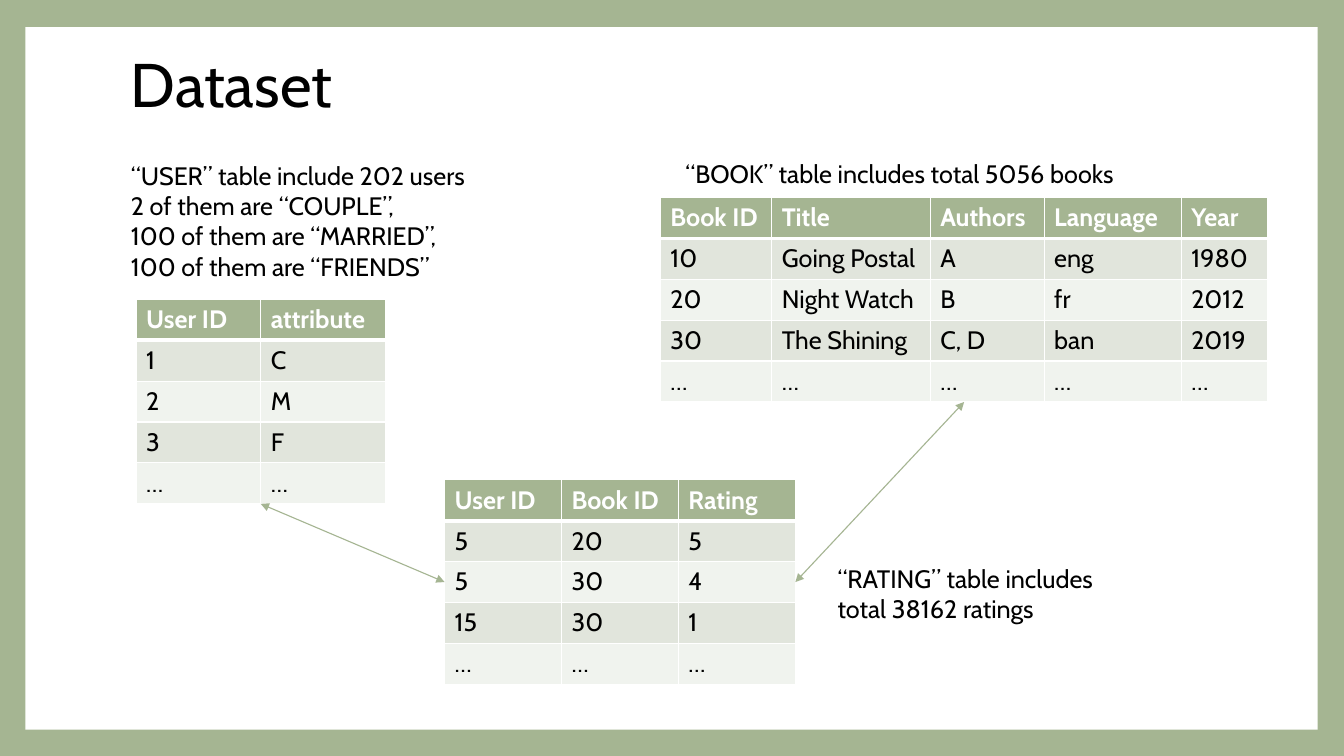
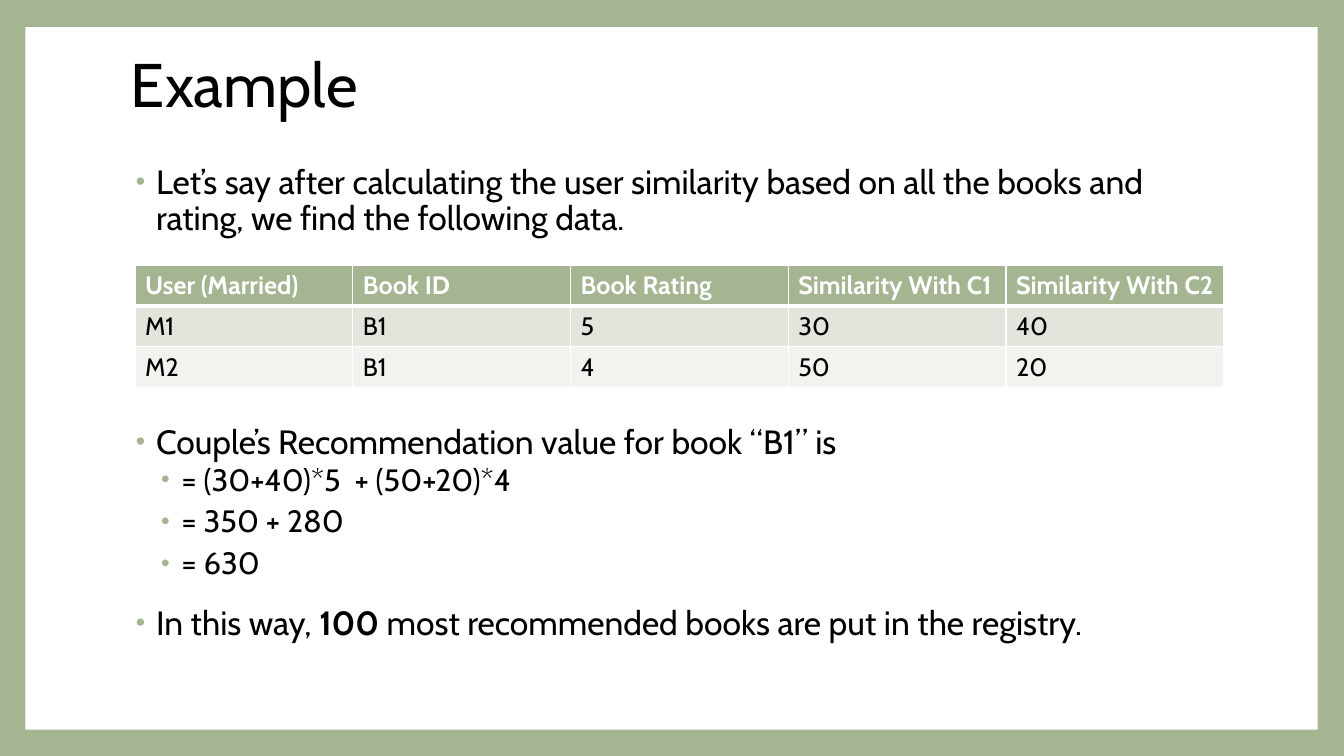
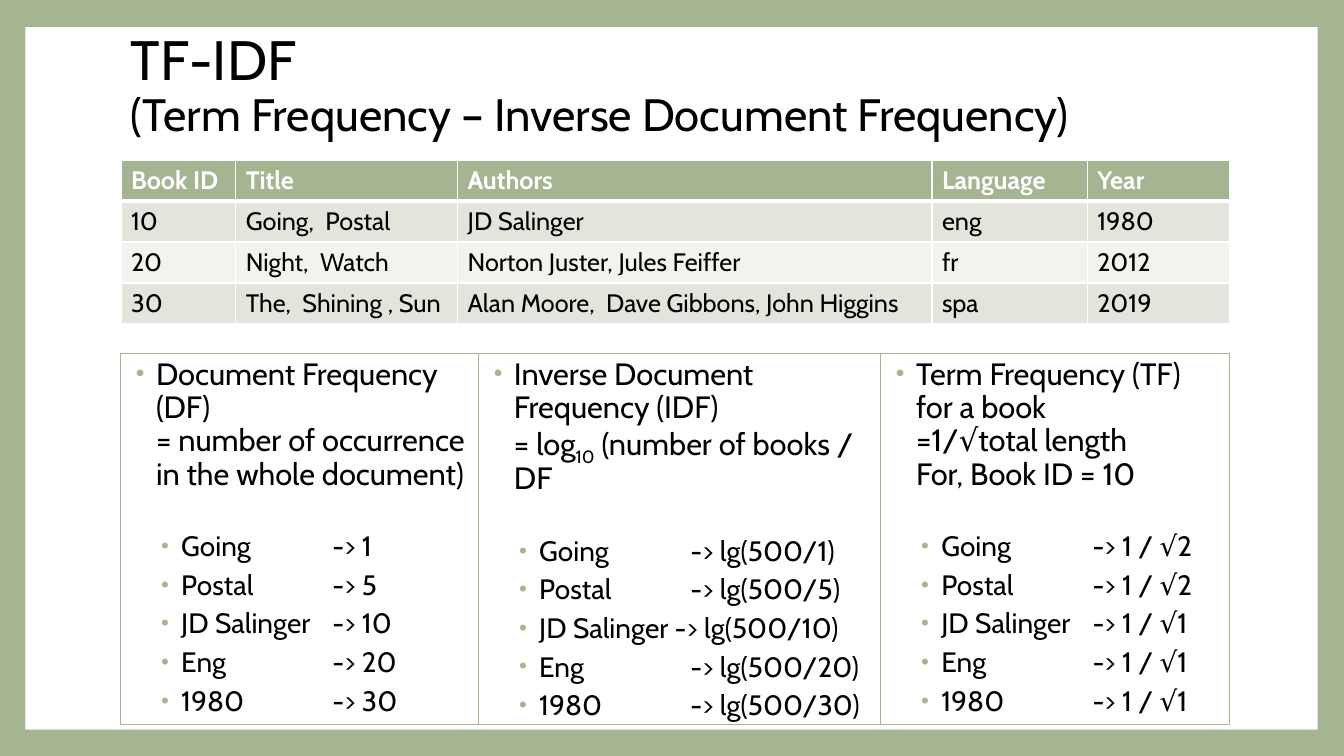
"""Build three slides on a book recommendation dataset, its scoring and TF-IDF."""
from itertools import accumulate

from lxml import etree
from pptx import Presentation
from pptx.dml.color import RGBColor
from pptx.enum.shapes import MSO_CONNECTOR, MSO_SHAPE
from pptx.enum.text import MSO_ANCHOR, PP_ALIGN
from pptx.oxml.ns import qn
from pptx.util import Inches, Pt

STRAIGHT = MSO_CONNECTOR.STRAIGHT
RECTANGLE = MSO_SHAPE.RECTANGLE
TOP, MIDDLE = MSO_ANCHOR.TOP, MSO_ANCHOR.MIDDLE
LEFT = PP_ALIGN.LEFT

GREEN = RGBColor(0xA5, 0xB5, 0x92)
BAND_DARK = RGBColor(0xE1, 0xE5, 0xDC)
BAND_LIGHT = RGBColor(0xF0, 0xF3, 0xEE)
WHITE = RGBColor(0xFF, 0xFF, 0xFF)
BLACK = RGBColor(0, 0, 0)
FONT = "Cabin"

SLIDE_W, SLIDE_H = Inches(13.33), Inches(7.5)
COLUMN, ROW = SLIDE_W / 100, SLIDE_H / 100
MARGIN, CONTENT_W = 9, 82.5
TABLE_ROW = 5.41
BLANK_LAYOUT = 6


def grid(left, top, width, height):
    """Turn hundredths of the slide into a position and size."""
    return (round(left * COLUMN), round(top * ROW),
            round(width * COLUMN), round(height * ROW))


def child(parent, tag, **attributes):
    """Append an XML element to its parent."""
    return etree.SubElement(parent, qn(tag), attributes)


def write(paragraph, text, size, color=BLACK, bold=False, baseline=None):
    """Add text in one style, with a line break at each newline."""
    for number, line in enumerate(text.split("\n")):
        if number:
            paragraph.add_line_break()
        if not line:
            continue
        run = paragraph.add_run()
        run.text = line
        font = run.font
        font.name, font.size, font.bold = FONT, Pt(size), bold
        font.color.rgb = color
        if baseline:
            run._r.get_or_add_rPr().set("baseline", str(baseline))


def next_paragraph(frame):
    """Return the first paragraph while it is empty, else a new one."""
    first = frame.paragraphs[0]
    return frame.add_paragraph() if first.runs else first


def add_bullet(frame, runs, size, level=0, before=14, after=0):
    """Add a bulleted paragraph made of (text, style) runs."""
    paragraph = next_paragraph(frame)
    paragraph.alignment, paragraph.level = LEFT, level
    paragraph.line_spacing = 0.9
    paragraph.space_before, paragraph.space_after = Pt(before), Pt(after)
    properties = paragraph._p.get_or_add_pPr()
    properties.set("marL", str(Inches(0.25 * (level + 1))))
    properties.set("indent", str(Inches(-0.2)))
    properties.set("defTabSz", str(Inches(1)))
    child(child(properties, "a:buClr"), "a:srgbClr", val=str(GREEN))
    child(properties, "a:buSzPct", val="80000")
    child(properties, "a:buFont", typeface="Arial")
    child(properties, "a:buChar", char="•")
    for text, style in runs:
        write(paragraph, text, size, **style)


def add_sub_bullets(frame, lines, size):
    """Add second-level bullets."""
    for line in lines:
        add_bullet(frame, [(line, {})], size, level=1, before=2, after=4)


def add_box(slide, place):
    """Add an empty wrapping text box and return its frame."""
    frame = slide.shapes.add_textbox(*grid(*place)).text_frame
    frame.word_wrap = True
    return frame


def add_note(slide, place, lines):
    """Add plain lines of explanation."""
    frame = add_box(slide, place)
    for line in lines:
        write(next_paragraph(frame), line, 18)


def add_rectangle(slide, place):
    """Add a rectangle without shadow, fill or line."""
    rectangle = slide.shapes.add_shape(RECTANGLE, *grid(*place))
    rectangle.shadow.inherit = False
    rectangle.fill.background()
    rectangle.line.fill.background()
    return rectangle


def add_slide(deck, *title_runs):
    """Add a slide with the green border, white panel and title."""
    slide = deck.slides.add_slide(deck.slide_layouts[BLANK_LAYOUT])
    slide.background.fill.solid()
    slide.background.fill.fore_color.rgb = GREEN
    panel = add_rectangle(slide, (1.88, 3.6, 96.15, 92.93))
    panel.fill.solid()
    panel.fill.fore_color.rgb = WHITE
    title = add_box(slide, (MARGIN, 4.13, CONTENT_W, 14.8))
    title.vertical_anchor = MIDDLE
    title.paragraphs[0].line_spacing = 0.9
    for text, size in title_runs:
        write(title.paragraphs[0], text, size)
    return slide


def set_borders(cell, row):
    """Draw white cell edges, thick between header and body."""
    widths = {"a:lnL": 1, "a:lnR": 1,
              "a:lnT": 3 if row == 1 else 1, "a:lnB": 3 if row == 0 else 1}
    properties = cell._tc.get_or_add_tcPr()
    for tag, width in widths.items():
        edge = child(properties, tag, w=str(Pt(width)))
        child(child(edge, "a:solidFill"), "a:srgbClr", val=str(WHITE))


def add_banded_table(slide, left, top, widths, rows):
    """Add a table with a green header and banded rows."""
    place = grid(left, top, sum(widths), TABLE_ROW * len(rows))
    frame = slide.shapes.add_table(len(rows), len(widths), *place)
    table = frame.table
    for column, width in zip(table.columns, widths):
        column.width = round(width * COLUMN)
    for r, texts in enumerate(rows):
        table.rows[r].height = round(TABLE_ROW * ROW)
        band = GREEN if r == 0 else BAND_DARK if r % 2 else BAND_LIGHT
        for c, text in enumerate(texts):
            cell = table.cell(r, c)
            set_borders(cell, r)
            cell.fill.solid()
            cell.fill.fore_color.rgb = band
            write(cell.text_frame.paragraphs[0], text, 18,
                  BLACK if r else WHITE, bold=r == 0)
    return frame


def anchor(frame, across, down):
    """Return the point at the given shares of a table's size."""
    return (round(frame.left + across * frame.width),
            round(frame.top + down * frame.height))


def add_link(slide, start, end):
    """Join two points with a double-headed arrow."""
    link = slide.shapes.add_connector(STRAIGHT, *start, *end)
    link.line.color.rgb = GREEN
    link.line.width = Pt(0.79)
    line = link.line._get_or_add_ln()
    child(line, "a:headEnd", type="triangle")
    child(line, "a:tailEnd", type="triangle")
    child(link._element.spPr, "a:effectLst")


def build_dataset(deck):
    """Show the three tables and how they relate."""
    slide = add_slide(deck, ("Dataset", 44))
    users = add_banded_table(slide, 10.13, 39.6, [9.27] * 2, [
        ("User ID", "attribute"), ("1", "C"), ("2", "M"), ("3", "F"),
        ("…", "…")])
    ratings = add_banded_table(slide, 33.08, 63.47, [8.7] * 3, [
        ("User ID", "Book ID", "Rating"), ("5", "20", "5"),
        ("5", "30", "4"), ("15", "30", "1"), ("…",) * 3])
    books = add_banded_table(
        slide, 49.13, 26.13, [8.3, 11.78, 8.48, 10.2, 6.45], [
            ("Book ID", "Title", "Authors", "Language", "Year"),
            ("10", "Going Postal", "A", "eng", "1980"),
            ("20", "Night Watch", "B", "fr", "2012"),
            ("30", "The Shining", "C, D", "ban", "2019"),
            ("…",) * 5])
    add_link(slide, anchor(users, 0.5, 1), anchor(ratings, 0, 0.5))
    add_link(slide, anchor(books, 0.5, 1), anchor(ratings, 1, 0.5))
    add_note(slide, (MARGIN, 20.53, 27.08, 17.47), [
        "“USER” table include 202 users", "2 of them are “COUPLE”, ",
        "100 of them are “MARRIED”,", "100 of them are “FRIENDS”"])
    add_note(slide, (50.25, 20.27, 36.23, 5.33),
             ["“BOOK” table includes total 5056 books"])
    add_note(slide, (61.58, 73.87, 21.3, 9.47),
             ["“RATING” table includes ", "total 38162 ratings"])


def build_example(deck):
    """Work through one recommendation value."""
    slide = add_slide(deck, ("Example", 44))
    steps = add_box(slide, (MARGIN, 21.2, CONTENT_W, 69.47))
    add_bullet(steps, [("Let’s say after calculating the user similarity "
                        "based on all the books and rating, we find the "
                        "following data.", {})], 24)
    add_bullet(steps, [("Couple’s Recommendation value for book “B1” is",
                        {})], 24, before=134)
    add_sub_bullets(steps, ["= (30+40)*5  + (50+20)*4", "= 350 + 280",
                            "= 630"], 22)
    add_bullet(steps, [("In this way, ", {}), ("100", {"bold": True}),
                       (" most recommended books are put in the registry.",
                        {})], 24)
    add_banded_table(slide, 10.05, 35.07, [16.2] * 5, [
        ("User (Married)", "Book ID", "Book Rating", "Similarity With C1",
         "Similarity With C2"),
        ("M1", "B1", "5", "30", "40"), ("M2", "B1", "4", "50", "20")])


def build_tf_idf(deck):
    """Define the three frequency measures for a sample book."""
    slide = add_slide(
        deck, ("TF-IDF \n", 39.6),
        ("(Term Frequency – Inverse Document Frequency)", 32.4))
    add_banded_table(slide, MARGIN, 21.2, [8.55, 16.5, 35.3, 11.55, 10.6], [
        ("Book ID", "Title", "Authors", "Language", "Year"),
        ("10", "Going,  Postal", "JD Salinger", "eng", "1980"),
        ("20", "Night,  Watch", "Norton Juster, Jules Feiffer", "fr", "2012"),
        ("30", "The,  Shining , Sun",
         "Alan Moore,  Dave Gibbons, John Higgins", "spa", "2019")])
    measures = [
        (26.63, [("Document Frequency (DF)\n= number of occurrence in the "
                  "whole document)", {})],
         ["Going\t-> 1", "Postal\t-> 5", "JD Salinger\t-> 10",
          "Eng\t\t-> 20", "1980\t-> 30"]),
        (29.92, [("Inverse Document Frequency (IDF)\n= log", {}),
                 ("10", {"baseline": -25000}),
                 (" (number of books / DF", {})],
         ["Going\t-> lg(500/1)", "Postal\t-> lg(500/5)",
          "JD Salinger -> lg(500/10)", "Eng\t\t-> lg(500/20)",
          "1980\t-> lg(500/30)"]),
        (25.95, [("Term Frequency (TF) for a book\n=1/√total length\n"
                  "For, Book ID = 10", {})],
         ["Going\t-> 1 / √2", "Postal \t-> 1 / √2", "JD Salinger\t-> 1 / √1",
          "Eng\t\t-> 1 / √1", "1980\t-> 1 / √1"]),
    ]
    lefts = accumulate((width for width, _, _ in measures), initial=MARGIN)
    for left, (width, definition, terms) in zip(lefts, measures):
        measure = add_rectangle(slide, (left, 46.8, width, 49.07))
        measure.line.color.rgb = GREEN
        measure.line.width = Pt(0.75)
        frame = measure.text_frame
        frame.word_wrap, frame.vertical_anchor = True, TOP
        add_bullet(frame, definition, 22, after=27)
        add_sub_bullets(frame, terms, 20)


def main():
    """Build and save the deck."""
    deck = Presentation()
    deck.slide_width, deck.slide_height = SLIDE_W, SLIDE_H
    build_dataset(deck)
    build_example(deck)
    build_tf_idf(deck)
    deck.save("out.pptx")


main()
